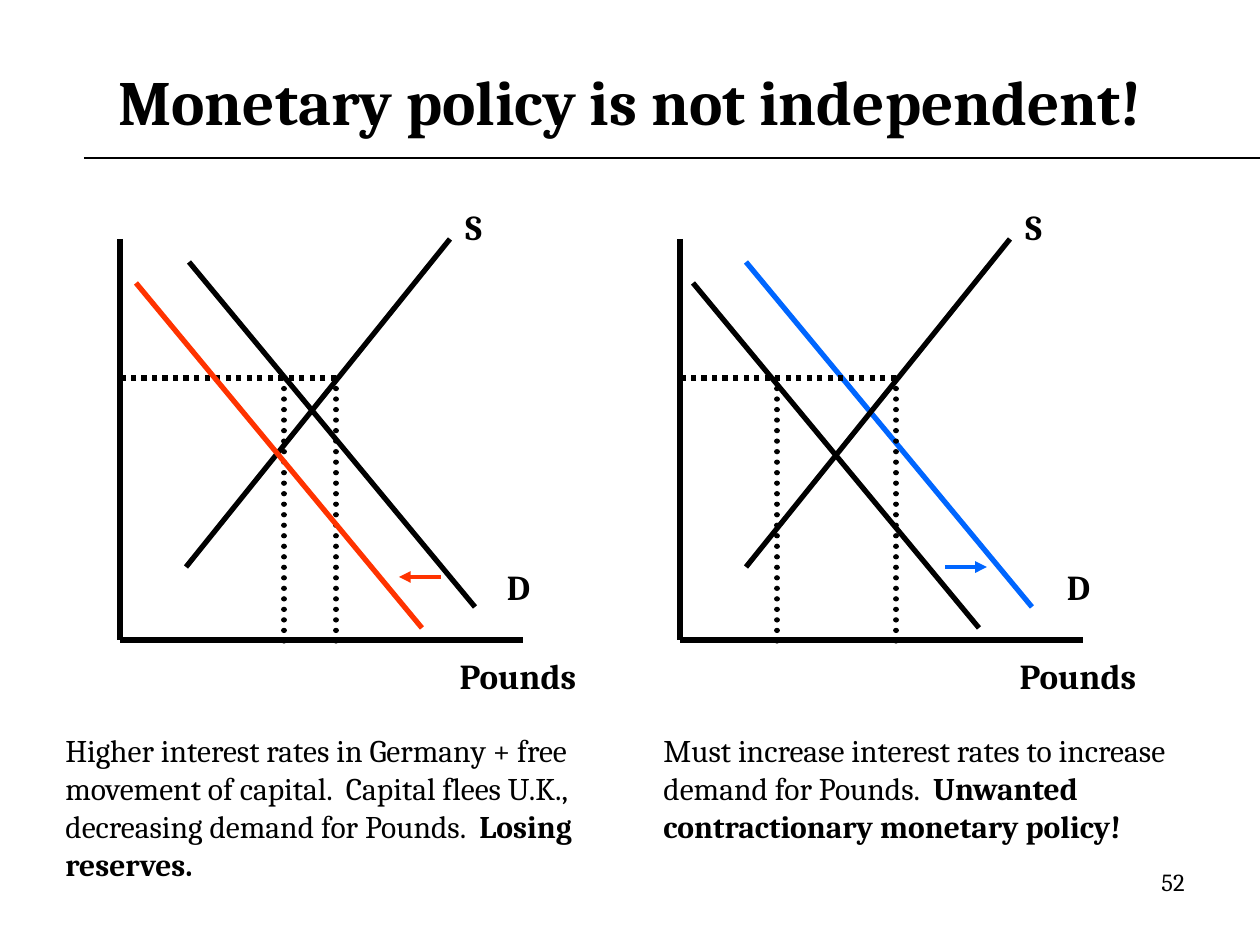
from pptx import Presentation
from pptx.dml.color import RGBColor
from pptx.enum.dml import MSO_LINE
from pptx.enum.shapes import MSO_CONNECTOR
from pptx.enum.text import MSO_ANCHOR, PP_ALIGN
from pptx.oxml.ns import qn
from pptx.util import Pt
from lxml.etree import SubElement

SCALE = 914400 / 126
BLACK, RED, BLUE = "000000", "FF3300", "0066FF"
FONT = "Cambria"


def px(length):
    return round(length * SCALE)


def color(value):
    return RGBColor.from_string(value)


def add_line(page, start, end, ink=BLACK, width=3, dotted=False, cap="flat", arrow=False):
    connector = page.shapes.add_connector(
        MSO_CONNECTOR.STRAIGHT, *[px(length) for length in (*start, *end)])
    connector.line.color.rgb = color(ink)
    connector.line.width = Pt(width)
    if dotted:
        connector.line.dash_style = MSO_LINE.ROUND_DOT
    properties = connector._element.spPr
    outline = properties.find(qn("a:ln"))
    outline.set("cap", cap)
    if arrow:
        SubElement(outline, qn("a:tailEnd"), type="triangle")
    SubElement(properties, qn("a:effectLst"))


def add_text(page, box, parts, size, align=PP_ALIGN.LEFT, anchor=MSO_ANCHOR.TOP):
    frame = page.shapes.add_textbox(*[px(length) for length in box]).text_frame
    frame.word_wrap = True
    frame.vertical_anchor = anchor
    para = frame.paragraphs[0]
    para.alignment = align
    for text, bold in parts:
        span = para.add_run()
        span.text = text
        span.font.name = FONT
        span.font.size = Pt(size)
        span.font.bold = bold
        span.font.color.rgb = color(ink_of_text)


ink_of_text = BLACK


def add_header(page, left, top, width, height, title):
    add_text(page, (left, top, width, height), [(title, True)], 36,
             PP_ALIGN.CENTER, MSO_ANCHOR.MIDDLE)
    add_line(page, (left + 21, top + height), (1260, top + height), width=0.75)


def add_market(page, left, top, outer_x, outer_ink, inner_ink, quantity, arrow):
    def line(x1, y1, x2, y2, **style):
        add_line(page, (left + x1, top + y1), (left + x2, top + y2), **style)

    def demand(x, y, ink):
        line(x, y, x + 286, y + 345, ink=ink)

    line(0, 0, 0, 401)
    line(0, 401, 403, 401)
    demand(outer_x, 23, outer_ink)
    line(66, 328, 330, 0)
    line(216, 139, -4, 139, dotted=True)
    for x in (216, quantity):
        line(x, 139, x, 412, dotted=True, cap="rnd")
    demand(outer_x - 53, 44, inner_ink)
    arrow_start, arrow_end, arrow_y, arrow_ink = arrow
    line(arrow_start, arrow_y, arrow_end, arrow_y, ink=arrow_ink, width=2.25, arrow=True)

    for text, x, y, width in (("S", 313, -40, 81), ("D", 358, 320, 81), ("Pounds", 321, 409, 154)):
        add_text(page, (left + x, top + y, width, 54), [(text, True)], 20, PP_ALIGN.CENTER)


def add_caption(page, left, top, plain, strong):
    add_text(page, (left, top, 546, 164), [(plain, False), (strong, True)], 18)


def main():
    deck = Presentation()
    deck.slide_width, deck.slide_height = px(1260), px(945)
    page = deck.slides.add_slide(deck.slide_layouts[6])

    add_header(page, 63, 42, 1134, 116, "Monetary policy is not independent!")
    add_market(page, 120, 239, 69, BLACK, RED, 164, (321, 279, 338, RED))
    add_market(page, 680, 239, 66, BLUE, BLACK, 97, (265, 307, 328, BLUE))
    add_caption(page, 53, 725,
                "Higher interest rates in Germany + free movement of capital.  "
                "Capital flees U.K., decreasing demand for Pounds.  ",
                "Losing reserves.")
    add_caption(page, 651, 725,
                "Must increase interest rates to increase demand for Pounds.  ",
                "Unwanted contractionary monetary policy!")
    add_text(page, (903, 861, 294, 66), [("52", False)], 14, PP_ALIGN.RIGHT)
    deck.save("out.pptx")


if __name__ == "__main__":
    main()
